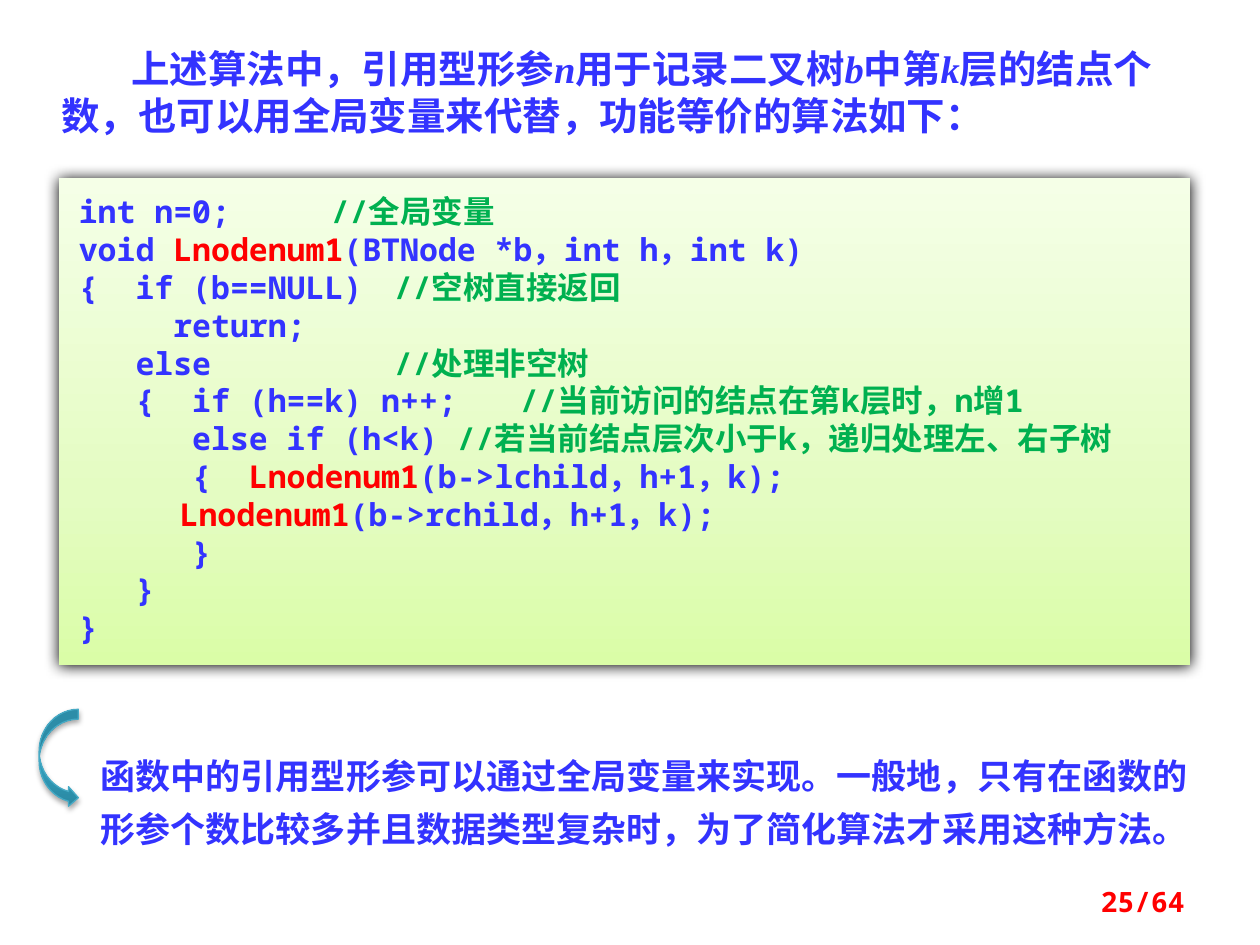
from lxml import etree
from pptx import Presentation
from pptx import util as u
from pptx.dml.color import RGBColor
from pptx.enum import shapes, text
from pptx.oxml.ns import qn

BLUE, RED, GREEN = "3333FF", "FF0000", "00B050"
MONO, SANS, SERIF = "Noto Sans Mono", "Noto Sans CJK SC", "Times New Roman"
rgb = RGBColor.from_string


def write(para, words, tint, face, size, slant=False):
    run = para.add_run()
    run.text = words
    form = {"name": face, "size": u.Pt(size), "bold": True, "italic": slant}
    for key, val in form.items():
        setattr(run.font, key, val)
    run.font.color.rgb = rgb(tint)
    east = etree.SubElement(run.font._element, qn("a:ea"))
    east.set("typeface", SANS)


def shade(shape, stops, alpha, blur, dist):
    """Fill upward with (percent, colour) stops and cast a black shadow down."""
    shape.fill.gradient()
    shape.fill.gradient_angle = 90
    ramp = shape._element.spPr.find(".//" + qn("a:gsLst"))
    for old in list(ramp):
        ramp.remove(old)
    for pos, tint in stops:
        stop = etree.SubElement(ramp, qn("a:gs"), pos=str(pos * 1000))
        etree.SubElement(stop, qn("a:srgbClr"), val=tint)
    shape.shadow.inherit = False
    cast = etree.SubElement(
        shape._element.spPr.find(qn("a:effectLst")), qn("a:outerShdw"),
        blurRad=str(u.Pt(blur)), dist=str(u.Pt(dist)), dir="5400000",
        algn="ctr", rotWithShape="0")
    black = etree.SubElement(cast, qn("a:srgbClr"), val="000000")
    etree.SubElement(black, qn("a:alpha"), val=str(alpha * 1000))


deck = Presentation()
deck.slide_width, deck.slide_height = u.Cm(25.4), u.Cm(19.05)
slide = deck.slides.add_slide(deck.slide_layouts[6])
grow = {"word_wrap": True, "auto_size": text.MSO_AUTO_SIZE.SHAPE_TO_FIT_TEXT}

# Introduction, with the variables between bars in italics
intro = slide.shapes.add_textbox(u.Cm(0.99), u.Cm(0.79), u.Cm(23.22), u.Cm(2.13))
for key, val in grow.items():
    setattr(intro.text_frame, key, val)
para = intro.text_frame.paragraphs[0]
para._p.get_or_add_pPr().set("indent", str(u.Cm(1.41)))
lead = "上述算法中，引用型形参|n|用于记录二叉树|b|中第|k|层的结点个数，也可以用全局变量来代替，功能等价的算法如下："
for i, part in enumerate(lead.split("|")):
    write(para, part, BLUE, SERIF, 22, i % 2 == 1)

# Code panel
code = """int n=0;\t\t//全局变量
void Lnodenum1(BTNode *b，int h，int k)
{  if (b==NULL)\t//空树直接返回
     return;
   else\t\t\t//处理非空树
   {  if (h==k) n++;\t//当前访问的结点在第k层时，n增1
      else if (h<k)\t//若当前结点层次小于k，递归处理左、右子树
      {  Lnodenum1(b->lchild，h+1，k);
\t  Lnodenum1(b->rchild，h+1，k);
      }
   }
}"""
panel = slide.shapes.add_shape(
    shapes.MSO_SHAPE.RECTANGLE, u.Cm(1.19), u.Cm(3.58), u.Cm(22.81), u.Cm(9.83))
panel.line.fill.background()
shade(panel, [(0, "DAFDA7"), (35, "E4FCC2"), (100, "F5FFE7")], 100, 8.5, 1)
frame = panel.text_frame
look = grow | {
    "vertical_anchor": text.MSO_ANCHOR.TOP,
    "margin_left": u.Cm(0.4), "margin_right": u.Cm(0.25),
    "margin_top": u.Cm(0.3), "margin_bottom": u.Cm(0.3)}
for key, val in look.items():
    setattr(frame, key, val)
for i, line in enumerate(code.split("\n")):
    para = frame.add_paragraph() if i else frame.paragraphs[0]
    para.alignment = text.PP_ALIGN.LEFT
    body, mark, note = line.partition("//")
    head, name, tail = body.partition("Lnodenum1")
    for part, tint in ((head, BLUE), (name, RED), (tail, BLUE), (mark + note, GREEN)):
        if part:
            write(para, part, tint, MONO, 18)

# Closing remark with its arrow
group = slide.shapes.add_group_shape()
remark = group.shapes.add_textbox(u.Cm(1.78), u.Cm(14.88), u.Cm(22.63), u.Cm(2.39))
for key, val in grow.items():
    setattr(remark.text_frame, key, val)
para = remark.text_frame.paragraphs[0]
para.line_spacing = u.Pt(30)
write(para, "函数中的引用型形参可以通过全局变量来实现。一般地，只有在函数的形参个数比较多并且数据类型复杂时，为了简化算法才采用这种方法。", BLUE, SANS, 20)
arrow = group.shapes.add_shape(
    shapes.MSO_SHAPE.CURVED_RIGHT_ARROW, u.Cm(0.79), u.Cm(14.3), u.Cm(0.79), u.Cm(1.98))
arrow.line.color.rgb = rgb("46AAC5")
arrow.line.width = u.Pt(0.75)
shade(arrow, [(0, "2A88A2"), (80, "37B1D2"), (100, "34B4D6")], 35, 3.1, 1.8)

# Page number
page = slide.shapes.add_textbox(u.Cm(18.21), u.Cm(17.65), u.Cm(5.92), u.Cm(1.02))
page.text_frame.word_wrap = True
page.text_frame.vertical_anchor = text.MSO_ANCHOR.MIDDLE
para = page.text_frame.paragraphs[0]
para.alignment = text.PP_ALIGN.RIGHT
write(para, "25/64", RED, MONO, 16)

deck.save("out.pptx")
